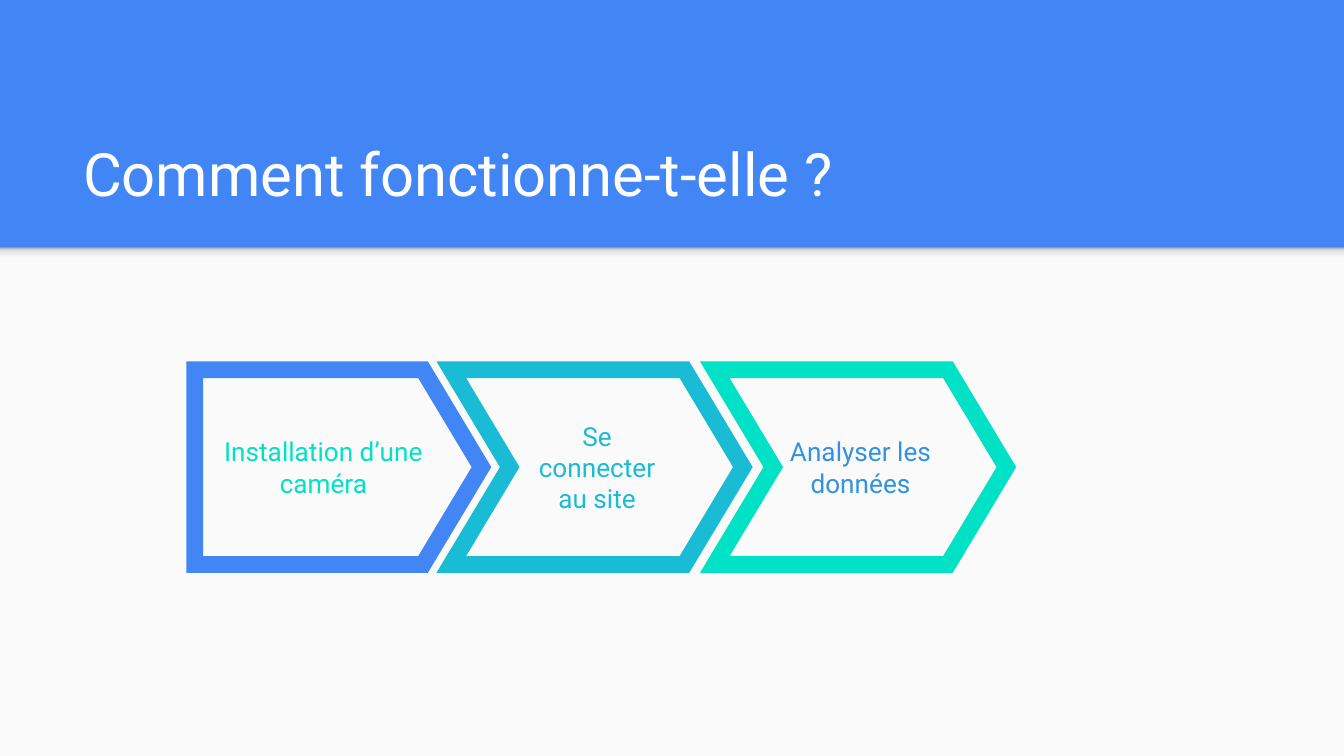
"""Build a slide that shows three process steps as a row of outlined arrows."""
from copy import deepcopy

from lxml import etree
from pptx import Presentation
from pptx.dml.color import RGBColor
from pptx.enum.shapes import MSO_SHAPE
from pptx.enum.text import MSO_ANCHOR, MSO_AUTO_SIZE, PP_ALIGN
from pptx.oxml.ns import qn
from pptx.util import Cm, Pt

RECTANGLE = MSO_SHAPE.RECTANGLE
PENTAGON = MSO_SHAPE.PENTAGON
CHEVRON = MSO_SHAPE.CHEVRON
MIDDLE, BOTTOM = MSO_ANCHOR.MIDDLE, MSO_ANCHOR.BOTTOM
LEFT, CENTER = PP_ALIGN.LEFT, PP_ALIGN.CENTER
NO_AUTOFIT = MSO_AUTO_SIZE.NONE

BLUE = RGBColor(0x42, 0x85, 0xF4)
SKY = RGBColor(0x32, 0x92, 0xE1)
CYAN = RGBColor(0x19, 0xBB, 0xD5)
TEAL = RGBColor(0x00, 0xE1, 0xC6)
WHITE = RGBColor(0xFF, 0xFF, 0xFF)
PAPER = RGBColor(0xFA, 0xFA, 0xFA)
SHADE_LIGHT = RGBColor(0xF9, 0xF9, 0xF9)
SHADE_MID = RGBColor(0xDE, 0xDE, 0xDE)
SHADE_DARK = RGBColor(0x99, 0x99, 0x99)

FONT = "Roboto"
TITLE = "Comment fonctionne-t-elle ?"
STEPS = [
    ("Installation d’une caméra", PENTAGON, 3.68, 5.42, BLUE, TEAL),
    ("Se connecter au site", CHEVRON, 8.53, 5.51, CYAN, CYAN),
    ("Analyser les données", CHEVRON, 13.51, 5.51, TEAL, SKY),
]
SHADE_STOPS = [(0, SHADE_LIGHT), (0.36, SHADE_LIGHT), (0.8, SHADE_MID), (1, SHADE_DARK)]

SLIDE_WIDTH, SLIDE_HEIGHT = 25.4, 14.29
BAND_HEIGHT, SHADE_HEIGHT = 4.67, 0.3
STEP_TOP, STEP_HEIGHT = 6.99, 3.68
POINT_RATIO = 0.3
INSET = 0.25


def write_text(shape, text, size, color, align, anchor):
    frame = shape.text_frame
    frame.text = text
    frame.word_wrap = True
    frame.auto_size = NO_AUTOFIT
    frame.vertical_anchor = anchor
    frame.margin_left = frame.margin_right = Cm(INSET)
    frame.margin_top = frame.margin_bottom = Cm(INSET)
    para = frame.paragraphs[0]
    para.alignment = align
    font = para.runs[0].font
    font.name, font.size, font.color.rgb = FONT, Pt(size), color


def add_panel(page, top, height):
    panel = page.shapes.add_shape(RECTANGLE, 0, Cm(top), Cm(SLIDE_WIDTH), Cm(height))
    panel.shadow.inherit = False
    panel.line.fill.background()
    return panel


def fill_shade(panel):
    panel.fill.gradient()
    panel.fill.gradient_angle = 90
    stop_list = panel.fill.gradient_stops[0].color
    stop_list = next(panel.element.iter(qn("a:gsLst")))
    for _ in range(len(SHADE_STOPS) - len(stop_list)):
        stop_list.append(deepcopy(stop_list[0]))
    for stop, (position, color) in zip(panel.fill.gradient_stops, SHADE_STOPS):
        stop.position = position
        stop.color.rgb = color


def add_step(page, text, kind, left, width, outline, color):
    step = page.shapes.add_shape(kind, Cm(left), Cm(STEP_TOP), Cm(width), Cm(STEP_HEIGHT))
    step.adjustments[0] = POINT_RATIO
    step.shadow.inherit = False
    step.fill.background()
    step.line.color.rgb = outline
    step.line.width = Pt(9)
    line = step.element.spPr.find(qn("a:ln"))
    etree.SubElement(line, qn("a:miter"), lim="800000")
    write_text(step, text, 14, color, CENTER, MIDDLE)


def main():
    deck = Presentation()
    deck.slide_width, deck.slide_height = Cm(SLIDE_WIDTH), Cm(SLIDE_HEIGHT)
    page = deck.slides.add_slide(deck.slide_layouts[5])
    page.background.fill.solid()
    page.background.fill.fore_color.rgb = BLUE

    paper = add_panel(page, BAND_HEIGHT, SLIDE_HEIGHT - BAND_HEIGHT)
    paper.fill.solid()
    paper.fill.fore_color.rgb = PAPER
    fill_shade(add_panel(page, BAND_HEIGHT, SHADE_HEIGHT))

    title = page.shapes.title
    title.left, title.top, title.width, title.height = Cm(1.32), Cm(2.06), Cm(22.83), Cm(2.13)
    write_text(title, TITLE, 32, WHITE, LEFT, BOTTOM)

    for step in STEPS:
        add_step(page, *step)
    deck.save("out.pptx")


if __name__ == "__main__":
    main()
